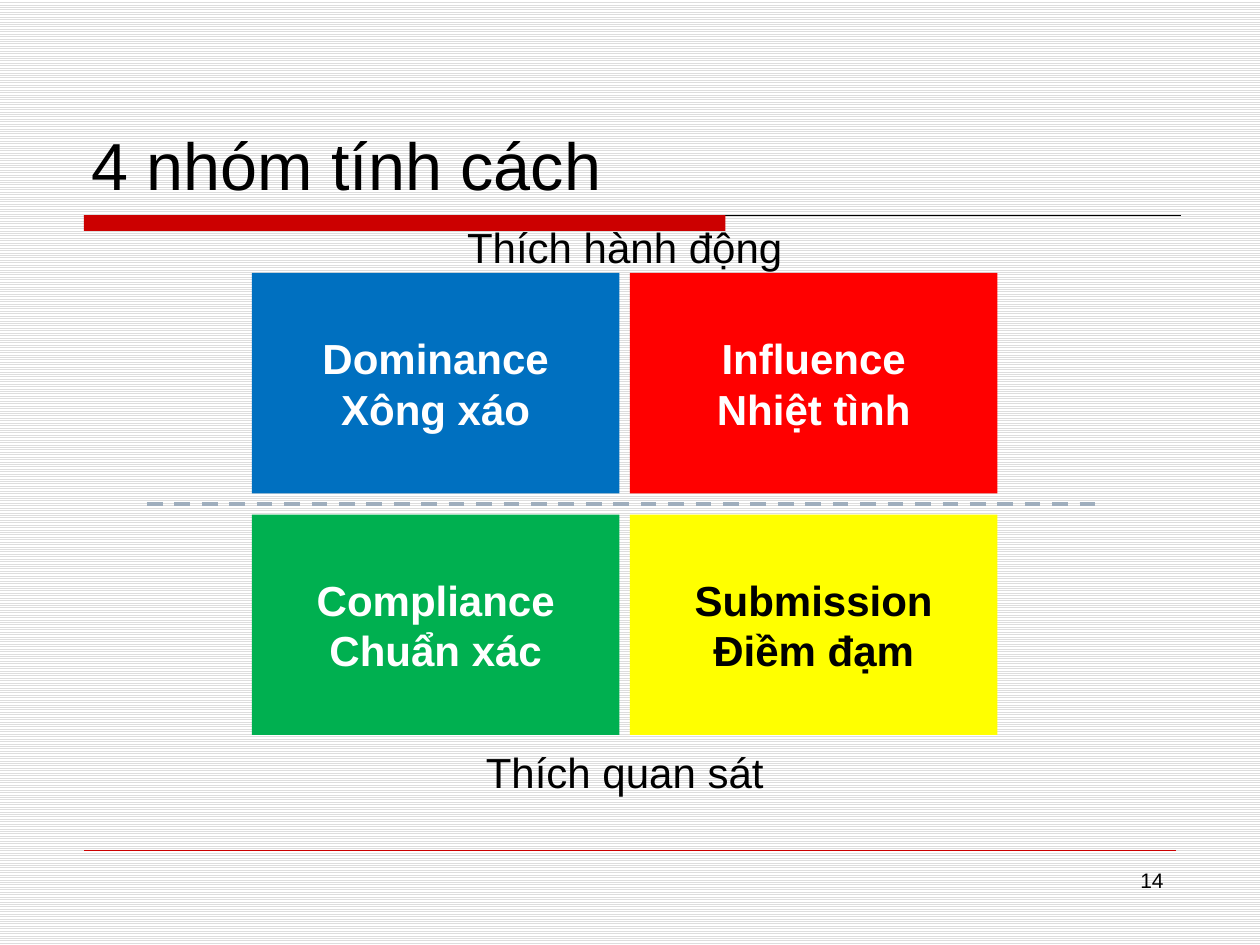
from pptx import Presentation
from pptx.dml.color import RGBColor as RGB
from pptx.enum.dml import MSO_LINE, MSO_PATTERN
from pptx.enum.shapes import MSO_CONNECTOR as CONN, MSO_SHAPE as SHAPE
from pptx.enum.text import MSO_ANCHOR as ANCHOR, PP_ALIGN as ALIGN
from pptx.oxml.ns import qn
from pptx.util import Pt

COLORS = {
    "black": "000000", "white": "FFFFFF", "stripe": "DDDDDD",
    "accent": "CC0000", "dash": "9FAEBD", "blue": "0070C0",
    "red": "FF0000", "green": "00B050", "yellow": "FFFF00",
}

GROUPS = [
    [(("Dominance", "Xông xáo"), "blue", "white"),
     (("Influence", "Nhiệt tình"), "red", "white")],
    [(("Compliance", "Chuẩn xác"), "green", "white"),
     (("Submission", "Điềm đạm"), "yellow", "black")],
]

LABELS = [
    ("4 nhóm tính cách", (45, 24, 630, 96), 38, ALIGN.LEFT, ANCHOR.BOTTOM),
    ("Thích hành động", (252, 120, 210, 42), 24, ALIGN.CENTER, ANCHOR.MIDDLE),
    ("Thích quan sát", (252, 420, 210, 42), 24, ALIGN.CENTER, ANCHOR.MIDDLE),
    ("14", (516, 492, 156, 37.5), 12, ALIGN.RIGHT, ANCHOR.TOP),
]

RULES = [
    ((48, 123, 675, 123), "black", 0.75, None),
    ((48, 486, 672, 486), "accent", 0.25, None),
    ((84, 288, 630, 288), "dash", 2.25, MSO_LINE.DASH),
]

BAR = (48, 123, 366.5, 9)
GRID_LEFT, GRID_TOP = 144, 156
BOX_W, BOX_H = 210, 126
GAP_X, GAP_Y = 6, 12


def rgb(name):
    return RGB.from_string(COLORS[name])


def write(sp, lines, size, color, align, anchor, bold=False):
    tf = sp.text_frame
    tf.word_wrap = True
    tf.vertical_anchor = anchor
    fmt = {"name": "Arial", "size": Pt(size), "bold": bold}
    for i, line in enumerate(lines):
        p = tf.add_paragraph() if i else tf.paragraphs[0]
        p.alignment = align
        r = p.add_run()
        r.text = line
        for key, value in fmt.items():
            setattr(r.font, key, value)
        r.font.color.rgb = rgb(color)


def add_rect(slide, box, color):
    sp = slide.shapes.add_shape(SHAPE.RECTANGLE, *map(Pt, box))
    sp.shadow.inherit = False
    sp.fill.solid()
    sp.fill.fore_color.rgb = rgb(color)
    sp.line.fill.background()
    return sp


def add_rule(slide, ends, color, width, dash):
    line = slide.shapes.add_connector(CONN.STRAIGHT, *map(Pt, ends))
    line.line.color.rgb = rgb(color)
    line.line.width = Pt(width)
    if dash:
        line.line.dash_style = dash
    sp_pr = line._element.spPr
    sp_pr.append(sp_pr.makeelement(qn("a:effectLst"), {}))


def main():
    prs = Presentation()
    prs.slide_width, prs.slide_height = Pt(720), Pt(540)
    slide = prs.slides.add_slide(prs.slide_layouts[6])

    fill = slide.background.fill
    fill.patterned()
    fill.pattern = MSO_PATTERN.LIGHT_HORIZONTAL
    fill.fore_color.rgb = rgb("stripe")
    fill.back_color.rgb = rgb("white")

    for rule in RULES:
        add_rule(slide, *rule)
    add_rect(slide, BAR, "accent")

    for row, groups in enumerate(GROUPS):
        for col, (lines, color, ink) in enumerate(groups):
            left = GRID_LEFT + col * (BOX_W + GAP_X)
            top = GRID_TOP + row * (BOX_H + GAP_Y)
            sp = add_rect(slide, (left, top, BOX_W, BOX_H), color)
            write(sp, lines, 24, ink, ALIGN.CENTER, ANCHOR.MIDDLE, bold=True)

    for text, box, size, align, anchor in LABELS:
        sp = slide.shapes.add_textbox(*map(Pt, box))
        write(sp, [text], size, "black", align, anchor)

    prs.save("out.pptx")


if __name__ == "__main__":
    main()
